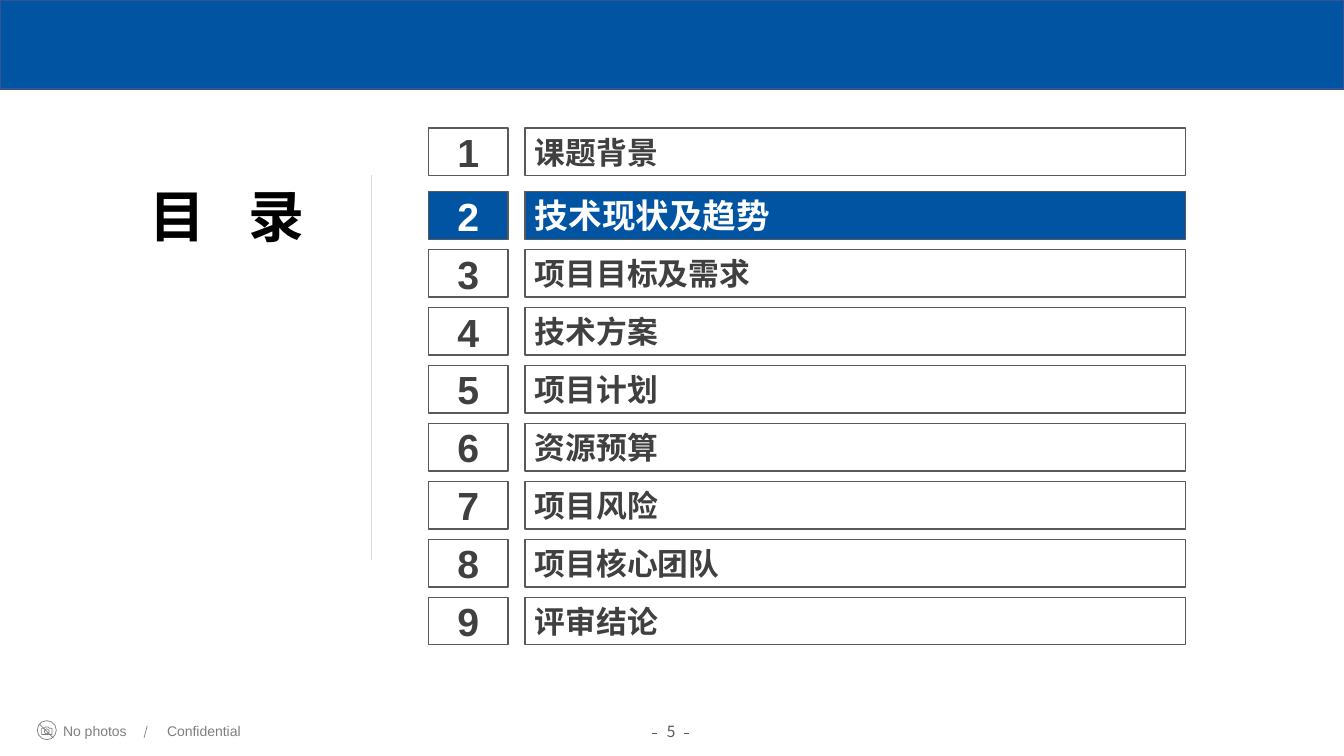
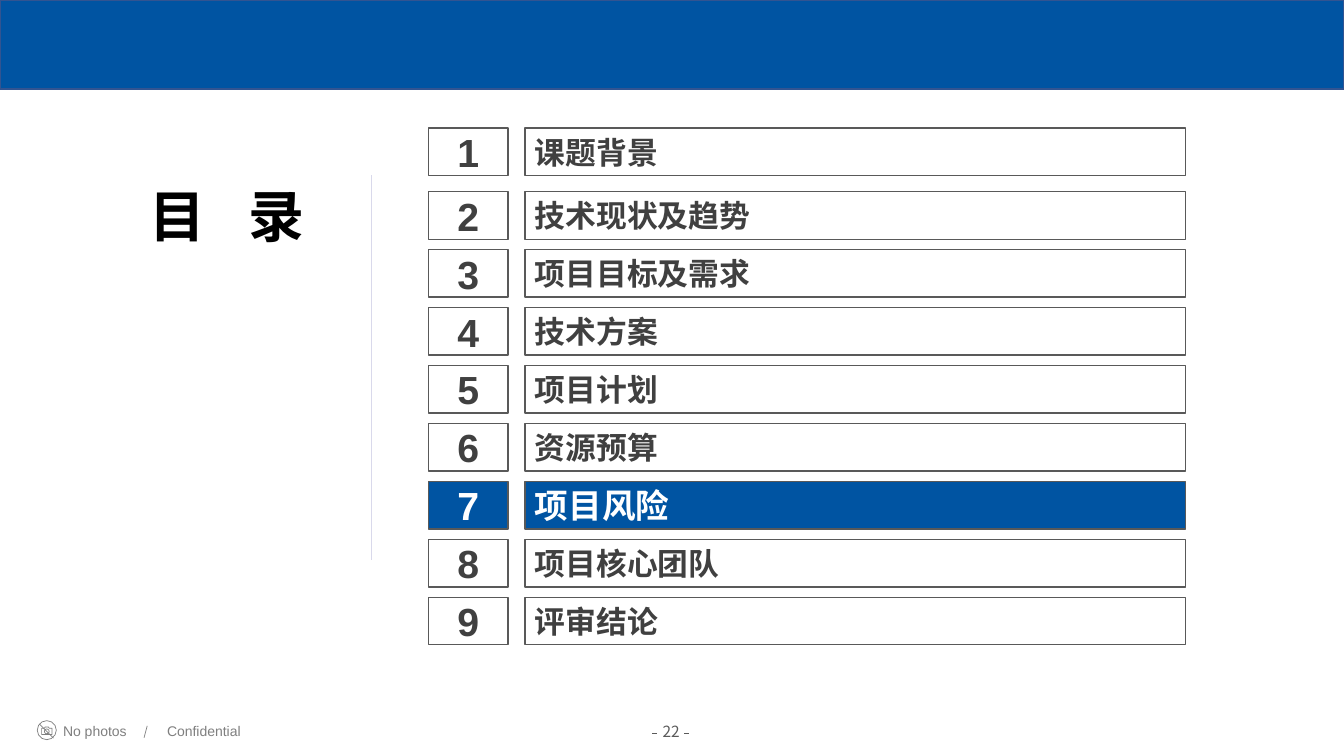
from lxml.etree import SubElement
from pptx import Presentation
from pptx.dml.color import RGBColor as Rgb
from pptx.enum.shapes import MSO_CONNECTOR as Link, MSO_SHAPE as Form
from pptx.enum.text import MSO_ANCHOR as Anchor, PP_ALIGN as Align
from pptx.oxml.ns import qn
from pptx.util import Cm, Pt

HUES = {
    "blue": "0054A2",
    "edge": "325491",
    "frame": "595959",
    "text": "404040",
    "grey": "7F7F7F",
    "page": "5A5A5A",
    "pale": "D9D9EB",
    "black": "000000",
    "white": "FFFFFF",
}
LATIN, HAN = "Arial", "Noto Sans CJK SC"
WIDE, HIGH = 33.87, 19.05
TOPICS = ["课题背景", "技术现状及趋势", "项目目标及需求", "技术方案", "项目计划",
          "资源预算", "项目风险", "项目核心团队", "评审结论"]
FIRST_TOP, NEXT_TOP, STEP = 3.23, 4.83, 1.46


def hue(name):
    return Rgb.from_string(HUES[name])


def write(shape, text, size, color, bold=False, align=Align.LEFT, face=LATIN):
    frame = shape.text_frame
    frame.text = text
    para = frame.paragraphs[0]
    para.alignment = align
    run = para.runs[0]
    font = run.font
    font.size, font.bold, font.name = Pt(size), bold, face
    font.color.rgb = hue(color)
    SubElement(font._element, qn("a:ea")).set("typeface", HAN)
    return run


def add_form(slide, form, left, top, width, height, line, weight=1, fill=None):
    shape = slide.shapes.add_shape(form, Cm(left), Cm(top), Cm(width), Cm(height))
    paint(shape, line, weight, fill)
    return shape


def paint(shape, line, weight, fill=None):
    shape.shadow.inherit = False
    shape.line.color.rgb = hue(line)
    shape.line.width = Pt(weight)
    if fill:
        shape.fill.solid()
        shape.fill.fore_color.rgb = hue(fill)
    else:
        shape.fill.background()


def add_line(slide, x1, y1, x2, y2, color):
    line = slide.shapes.add_connector(Link.STRAIGHT, Cm(x1), Cm(y1), Cm(x2), Cm(y2))
    line.line.color.rgb = hue(color)
    line.line.width = Pt(0.5)
    SubElement(line._element.spPr, qn("a:effectLst"))


def add_label(slide, text, left, width, size, color, wrap=False, **style):
    box = slide.shapes.add_textbox(Cm(left), Cm(18.08), Cm(width), Cm(0.7))
    box.text_frame.word_wrap = wrap
    write(box, text, size, color, **style)


def add_badge(slide):
    """Draw the crossed-out camera."""
    add_form(slide, Form.OVAL, 0.94, 18.16, 0.48, 0.48, "grey", 0.5)
    body = [(1.05, 18.35), (1.12, 18.35), (1.14, 18.32), (1.22, 18.32),
            (1.24, 18.35), (1.31, 18.35), (1.31, 18.51), (1.05, 18.51)]
    points = [(Cm(x), Cm(y)) for x, y in body]
    pen = slide.shapes.build_freeform(*points[0])
    pen.add_line_segments(points[1:], close=True)
    paint(pen.convert_to_shape(), "grey", 0.5)
    add_form(slide, Form.OVAL, 1.12, 18.37, 0.12, 0.12, "grey", 0.5)
    add_line(slide, 0.99, 18.24, 1.35, 18.6, "grey")


def add_foot(slide, page):
    add_badge(slide)
    add_label(slide, "No photos", 1.34, 2.24, 10, "grey")
    add_label(slide, "Confidential", 3.96, 2.39, 10, "grey")
    add_line(slide, 3.71, 18.29, 3.63, 18.59, "grey")
    for left in (16.44, 17.24):
        add_line(slide, left, 18.49, left + 0.12, 18.49, "page")
    add_label(slide, str(page), 16.05, 1.73, 11, "page", wrap=True,
              align=Align.CENTER, face=HAN)


def add_title(slide):
    title = slide.shapes.title
    title.left, title.top = Cm(2.1), Cm(4.45)
    title.width, title.height = Cm(7.24), Cm(1.96)
    title.text_frame.vertical_anchor = Anchor.TOP
    run = write(title, "目 录", 40, "black", bold=True, align=Align.CENTER)
    run.font._element.set("spc", "1100")


def add_topic(slide, index, active):
    top = NEXT_TOP + (index - 1) * STEP if index else FIRST_TOP
    fill, color, size = ("blue", "white", 24) if active else (None, "text", 22)
    cells = [(10.8, 2, str(index + 1), 28, Align.CENTER),
             (13.23, 16.64, TOPICS[index], size, Align.LEFT)]
    for left, width, text, points, align in cells:
        cell = add_form(slide, Form.RECTANGLE, left, top, width, 1.2, "frame", fill=fill)
        cell.text_frame.vertical_anchor = Anchor.MIDDLE
        write(cell, text, points, color, bold=True, align=align)


def add_agenda(deck, page, active):
    slide = deck.slides.add_slide(deck.slide_layouts[5])
    add_form(slide, Form.RECTANGLE, 0, 0, WIDE, 2.24, "edge", fill="blue")
    add_foot(slide, page)
    add_line(slide, 9.37, 4.42, 9.37, 14.1, "pale")
    add_title(slide)
    for index in range(len(TOPICS)):
        add_topic(slide, index, index + 1 == active)


def main():
    deck = Presentation()
    deck.slide_width, deck.slide_height = Cm(WIDE), Cm(HIGH)
    for page, active in ((5, 2), (22, 7)):
        add_agenda(deck, page, active)
    deck.save("out.pptx")


if __name__ == "__main__":
    main()
